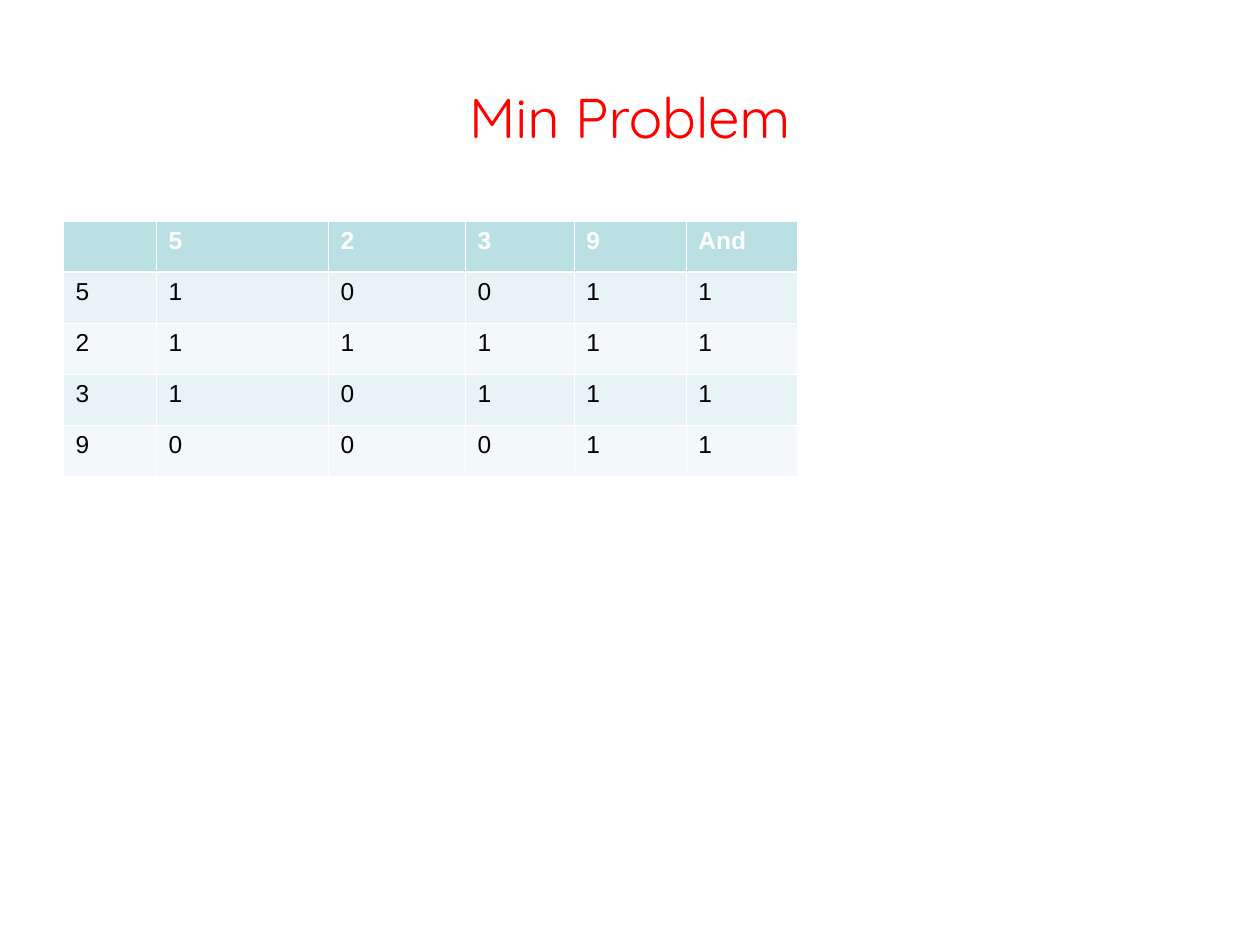
from lxml import etree
from pptx import Presentation
from pptx import util as u
from pptx.dml.color import RGBColor
from pptx.enum import text
from pptx.oxml.ns import qn

TITLE = "Min Problem"
HEADER = ["", "5", "2", "3", "9", "And"]
ROWS = [
    ["5", "1", "0", "0", "1", "1"],
    ["2", "1", "1", "1", "1", "1"],
    ["3", "1", "0", "1", "1", "1"],
    ["9", "0", "0", "0", "1", "1"],
]

THEME = {
    "title_font": "Quicksand", "title_size": 32, "title_color": "FF0000",
    "table_font": "Arial", "table_size": 14,
    "header_color": "FFFFFF", "body_color": "000000",
    "header_fill": "BBE0E3", "band_fills": ["E7F3F4", "F3F9FA"],
    "border_color": "FFFFFF", "thin_border": 0.45, "thick_border": 1.47,
}

PX = u.Inches(1) // 126
SLIDE_SIZE = (1260, 945)
TITLE_BOX = (63, 38, 1134, 157)
TABLE_ORIGIN = (63, 221)
COLUMN_WIDTHS = [93, 172, 137, 109, 112, 112]
ROW_HEIGHT = 51


def px(*lengths):
    return [length * PX for length in lengths]


def write(frame, words, font, size, color, bold=False, align=text.PP_ALIGN.LEFT):
    paragraph = frame.paragraphs[0]
    paragraph.alignment = align
    run = paragraph.add_run()
    run.text = words
    run.font.name = font
    run.font.size = u.Pt(size)
    run.font.bold = bold
    run.font.color.rgb = RGBColor.from_string(color)


def set_borders(cell, **widths):
    """Draw the cell's edges, given as widths in points by lnL, lnR, lnT, lnB."""
    properties = cell._tc.get_or_add_tcPr()
    for position, (edge, width) in enumerate(widths.items()):
        line = etree.Element(qn(f"a:{edge}"), w=str(u.Pt(width)))
        fill = etree.SubElement(line, qn("a:solidFill"))
        etree.SubElement(fill, qn("a:srgbClr"), val=THEME["border_color"])
        properties.insert(position, line)


def add_title(slide):
    title = slide.shapes.title
    title.left, title.top, title.width, title.height = px(*TITLE_BOX)
    title.text_frame.vertical_anchor = text.MSO_ANCHOR.MIDDLE
    write(title.text_frame, TITLE, THEME["title_font"], THEME["title_size"],
          THEME["title_color"], align=text.PP_ALIGN.CENTER)


def add_comparison_table(slide):
    content = [HEADER] + ROWS
    size = (sum(COLUMN_WIDTHS), ROW_HEIGHT * len(content))
    table = slide.shapes.add_table(len(content), len(HEADER),
                                   *px(*TABLE_ORIGIN, *size)).table
    for column, width in zip(table.columns, px(*COLUMN_WIDTHS)):
        column.width = width
    thin, thick = THEME["thin_border"], THEME["thick_border"]
    for row_index, values in enumerate(content):
        is_header = row_index == 0
        fill = THEME["header_fill"] if is_header else THEME["band_fills"][(row_index - 1) % 2]
        color = THEME["header_color"] if is_header else THEME["body_color"]
        for column_index, value in enumerate(values):
            cell = table.cell(row_index, column_index)
            cell.fill.solid()
            cell.fill.fore_color.rgb = RGBColor.from_string(fill)
            set_borders(cell, lnL=thin, lnR=thin,
                        lnT=thick if row_index == 1 else thin,
                        lnB=thick if is_header else thin)
            if value:
                write(cell.text_frame, value, THEME["table_font"],
                      THEME["table_size"], color, bold=is_header)


def main():
    presentation = Presentation()
    presentation.slide_width, presentation.slide_height = px(*SLIDE_SIZE)
    slide = presentation.slides.add_slide(presentation.slide_layouts[5])
    add_title(slide)
    add_comparison_table(slide)
    presentation.save("out.pptx")


if __name__ == "__main__":
    main()
